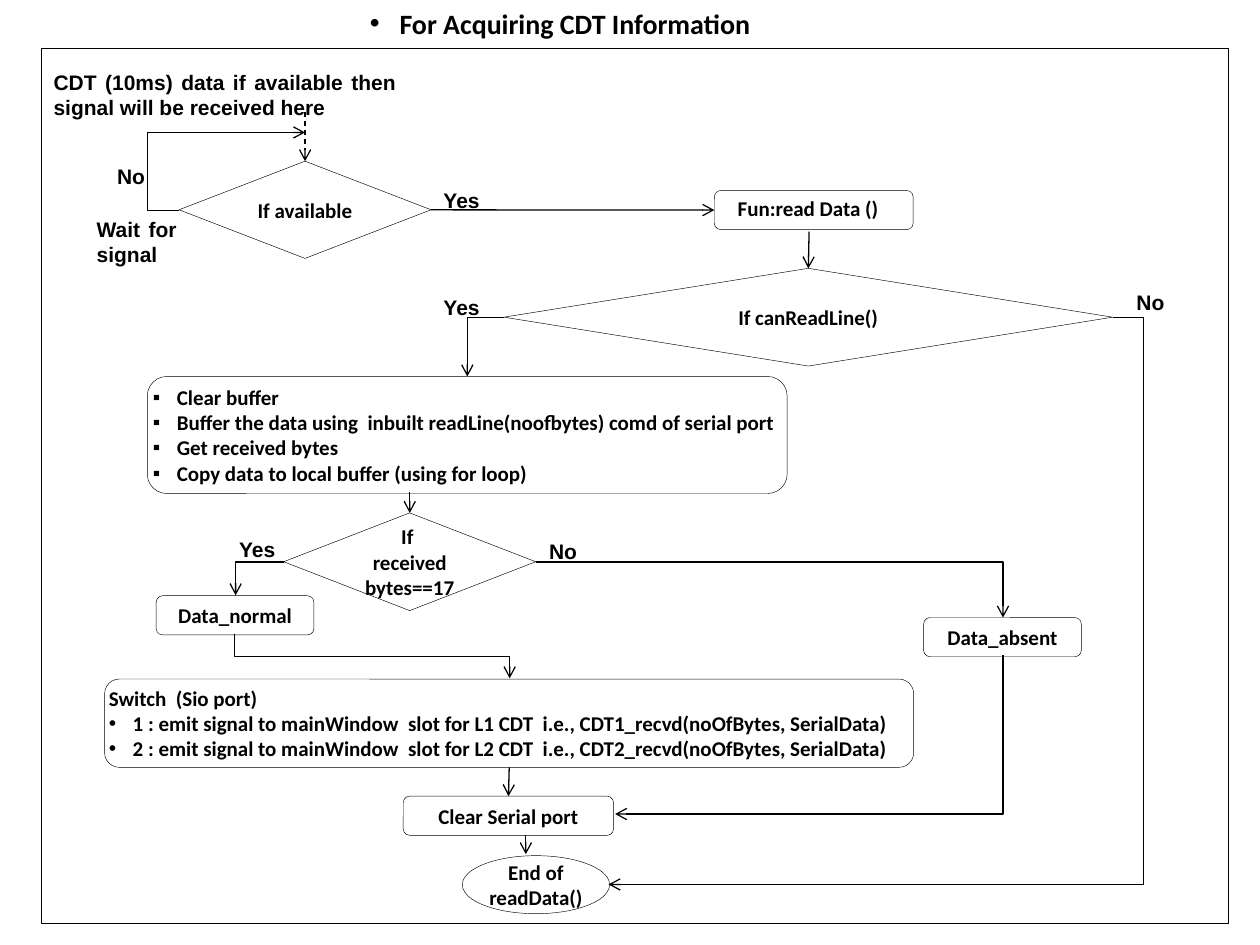
from lxml import etree
from pptx import Presentation
from pptx.dml.color import RGBColor
from pptx.enum.dml import MSO_LINE
from pptx.enum.shapes import MSO_CONNECTOR, MSO_SHAPE
from pptx.enum.text import MSO_ANCHOR, MSO_AUTO_SIZE, PP_ALIGN
from pptx.oxml.ns import qn
from pptx.util import Cm, Pt

RECT, ROUND = MSO_SHAPE.RECTANGLE, MSO_SHAPE.ROUNDED_RECTANGLE
DECISION, OVAL = MSO_SHAPE.FLOWCHART_DECISION, MSO_SHAPE.OVAL
STRAIGHT, ELBOW = MSO_CONNECTOR.STRAIGHT, MSO_CONNECTOR.ELBOW
LEFT, CENTER, JUSTIFY = PP_ALIGN.LEFT, PP_ALIGN.CENTER, PP_ALIGN.JUSTIFY
TOP, MIDDLE = MSO_ANCHOR.TOP, MSO_ANCHOR.MIDDLE
FIT, FIXED = MSO_AUTO_SIZE.SHAPE_TO_FIT_TEXT, MSO_AUTO_SIZE.NONE
DASH = MSO_LINE.DASH
BLACK = RGBColor.from_string("000000")


def write(sp, lines, font, align, anchor, size=12, indent=0):
    tf = sp.text_frame
    tf.word_wrap = True
    tf.vertical_anchor = anchor
    for i, (bullet, text) in enumerate(lines):
        p = tf.paragraphs[0] if i == 0 else tf.add_paragraph()
        p.alignment = align
        pPr = p._p.get_or_add_pPr()
        if indent:
            pPr.set("marL", str(Cm(indent)))
            pPr.set("indent", str(-Cm(indent)))
        if bullet:
            etree.SubElement(pPr, qn("a:buFont")).set("typeface", "Arial")
            etree.SubElement(pPr, qn("a:buChar")).set("char", bullet)
        r = p.add_run()
        r.text = text
        r.font.name = font
        r.font.size = Pt(size)
        r.font.bold = True
        r.font.color.rgb = BLACK


def add_arrow(kind, x1, y1, x2, y2, dash=None):
    c = s.shapes.add_connector(kind, Cm(x1), Cm(y1), Cm(x2), Cm(y2))
    c.line.color.rgb = BLACK
    c.line.width = Pt(0.75)
    if dash:
        c.line.dash_style = dash
    spPr = c._element.spPr
    etree.SubElement(spPr.find(qn("a:ln")), qn("a:tailEnd")).set("type", "arrow")
    etree.SubElement(spPr, qn("a:effectLst"))
    return c


prs = Presentation()
prs.slide_width, prs.slide_height = Cm(25.4), Cm(19.05)
s = prs.slides.add_slide(prs.slide_layouts[5])

title = s.shapes.title
title.left, title.top, title.width, title.height = Cm(7.2), Cm(0), Cm(8.89), Cm(0.94)
title.text_frame.auto_size = FIXED
write(title, [("•", "For Acquiring CDT Information")], "Calibri", LEFT, TOP, 16, 0.6)

steps = [
    ("frame", RECT, 0.83, 0.97, 23.93, 17.65, []),
    ("read", ROUND, 14.4, 3.84, 4.01, 0.79, []),
    ("available", DECISION, 3.61, 3.25, 5.08, 1.96, [("", "If available")]),
    ("can_read", DECISION, 10.16, 5.41, 12.27, 1.97, [("", "If canReadLine()")]),
    ("buffer", ROUND, 2.97, 7.59, 12.9, 2.36, [
        ("▪", "Clear buffer"),
        ("▪", "Buffer the data using  inbuilt readLine(noofbytes) comd of serial port"),
        ("▪", "Get received bytes"),
        ("▪", "Copy data to local buffer (using for loop)")]),
    ("received", DECISION, 5.72, 10.34, 5.08, 1.97, [("", "If "), ("", "received bytes==17")]),
    ("normal", ROUND, 3.15, 12.01, 3.18, 0.79, [("", "Data_normal")]),
    ("absent", ROUND, 18.62, 12.45, 3.18, 0.79, [("", "Data_absent")]),
    ("switch", ROUND, 2.11, 13.69, 16.31, 1.78, [
        ("", "Switch  (Sio port)"),
        ("•", "1 : emit signal to mainWindow  slot for L1 CDT  i.e., CDT1_recvd(noOfBytes, SerialData)"),
        ("•", "2 : emit signal to mainWindow  slot for L2 CDT  i.e., CDT2_recvd(noOfBytes, SerialData)")]),
    ("clear", ROUND, 8.13, 16.05, 4.24, 0.79, [("", "Clear Serial port")]),
    ("end", OVAL, 9.32, 17.25, 2.97, 1.17, [("", "End of readData()")]),
]
nodes = {}
for name, kind, x, y, w, h, lines in steps:
    sp = s.shapes.add_shape(kind, Cm(x), Cm(y), Cm(w), Cm(h))
    sp.shadow.inherit = False
    sp.fill.background()
    sp.line.color.rgb = BLACK
    sp.line.width = Pt(0.25)
    tf = sp.text_frame
    tf.margin_left = tf.margin_right = tf.margin_top = tf.margin_bottom = 0
    is_list = len(lines) > 2
    write(sp, lines, "Calibri", JUSTIFY if is_list else CENTER, MIDDLE,
          indent=0.48 if is_list else 0)
    nodes[name] = sp

labels = [
    (0.83, 1.27, 7.41, 1.27, "Arial", JUSTIFY,
     ["CDT (10ms) data if available then signal will be received here"]),
    (14.6, 3.81, 3.38, 0.76, "Calibri", CENTER, ["Fun:read Data ()"]),
    (1.7, 4.24, 2.11, 1.27, "Arial", JUSTIFY, ["Wait for ", "signal"]),
]
answers = [(8.69, 3.66, "Yes"), (2.11, 3.18, "No"), (8.69, 5.82, "Yes"),
           (22.66, 5.72, "No"), (4.57, 10.69, "Yes"), (10.82, 10.74, "No")]
labels += [(x, y, 1.47, 0.76, "Arial", LEFT, [text]) for x, y, text in answers]
for x, y, w, h, font, align, lines in labels:
    sp = s.shapes.add_textbox(Cm(x), Cm(y), Cm(w), Cm(h))
    write(sp, [("", text) for text in lines], font, align, TOP)
    sp.text_frame.auto_size = FIT

straights = [
    (6.15, 2.26, 6.15, 3.25, DASH, None, ("available", 0)),
    (8.69, 4.23, 14.4, 4.23, None, ("available", 3), ("read", 1)),
    (16.31, 4.67, 16.29, 5.41, None, None, ("can_read", 0)),
    (8.26, 9.91, 8.26, 10.34, None, None, ("received", 0)),
    (10.26, 15.47, 10.26, 16.05, None, ("switch", 2), ("clear", 0)),
    (10.6, 16.84, 10.6, 17.22, None, None, None),
]
for x1, y1, x2, y2, dash, start, end in straights:
    c = add_arrow(STRAIGHT, x1, y1, x2, y2, dash)
    if start:
        c.begin_connect(nodes[start[0]], start[1])
    if end:
        c.end_connect(nodes[end[0]], end[1])

elbows = [
    (3.61, 2.67, 2.54, 1.57, 180, "flipH", -25000),
    (9.42, 6.4, 0.74, 1.19, 180, "flipV", None),
    (12.27, 6.4, 10.16, 11.43, 0, "flipH", -6200),
    (4.75, 11.33, 0.97, 0.67, 180, "flipV", None),
    (10.8, 11.33, 9.42, 1.12, 0, None, None),
    (7.06, 10.46, 0.89, 5.54, 270, "flipH", 50000),
    (14.71, 10.9, 3.2, 7.82, 90, None, None),
]
for x, y, w, h, angle, flip, bend in elbows:
    c = add_arrow(ELBOW, x, y, x + w, y + h)
    xfrm = c._element.spPr.find(qn("a:xfrm"))
    xfrm.set("rot", str(angle * 60000))
    if flip:
        xfrm.set(flip, "1")
    geom = c._element.spPr.find(qn("a:prstGeom"))
    if bend is None:
        geom.set("prst", "bentConnector2")
    else:
        gd = etree.SubElement(geom.find(qn("a:avLst")), qn("a:gd"))
        gd.set("name", "adj1")
        gd.set("fmla", f"val {bend}")

prs.save("out.pptx")
